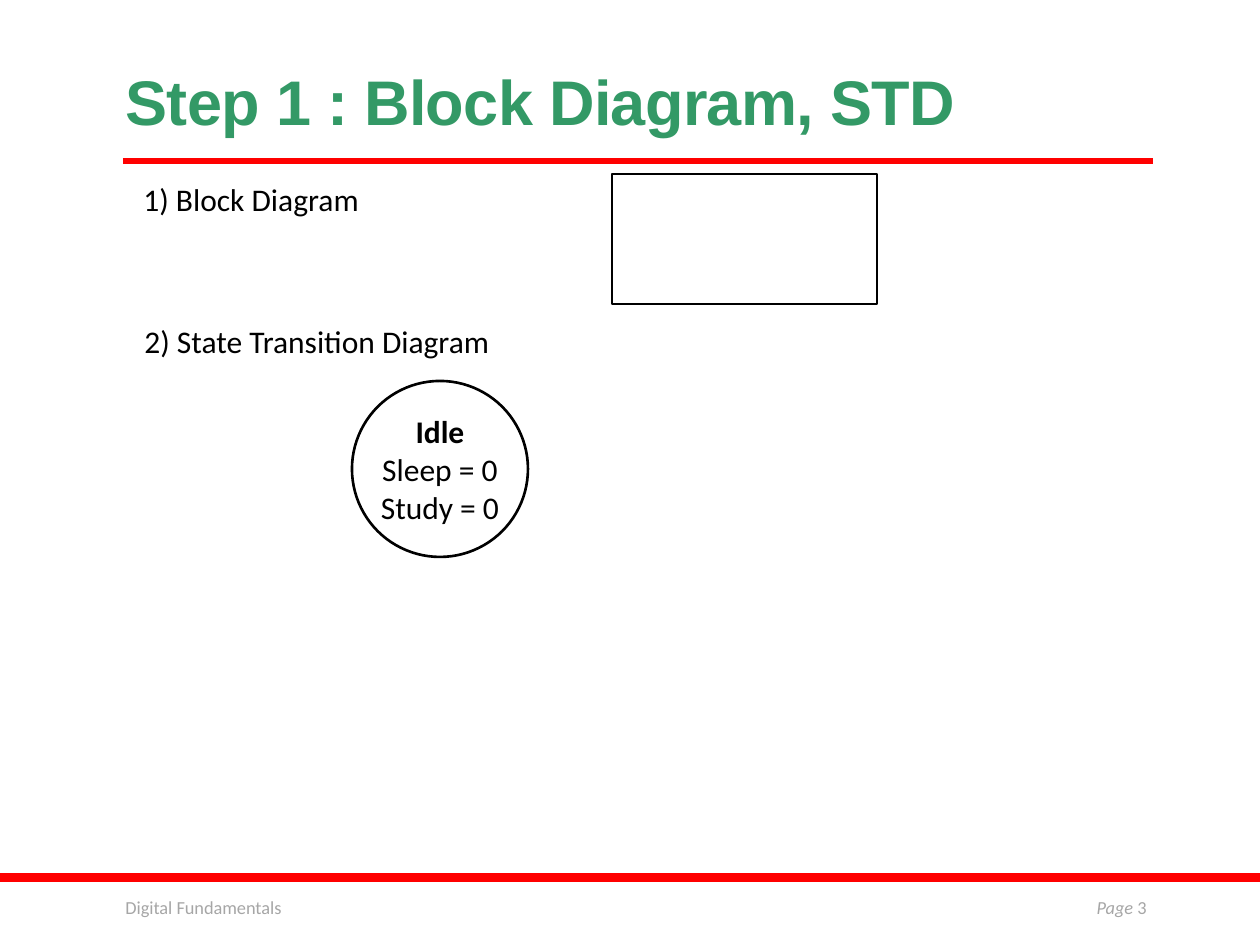
"""Build the block diagram and state transition diagram slide."""
from pptx import Presentation, util as u
from pptx.dml.color import RGBColor
from pptx.enum import shapes, text
from pptx.oxml import parse_xml
from pptx.oxml.ns import nsdecls

SCALE = 914400 / 126
GREEN = RGBColor(0x33, 0x99, 0x66)
RED = RGBColor(0xFF, 0, 0)
BLACK = RGBColor(0, 0, 0)
GRAY = RGBColor(0xA6, 0xA6, 0xA6)
LEFT, CENTER, RIGHT = text.PP_ALIGN.LEFT, text.PP_ALIGN.CENTER, text.PP_ALIGN.RIGHT

TITLE = "Step 1 : Block Diagram, STD"
TITLE_BOX = (113, 39, 1040, 106)
RULE = (123, 161, 1153, 161)
BAR = (0, 873, 1260, 9)
BLOCK = (612, 174, 265, 130)
STATE = (352, 381, 176, 176)
STATE_LINES = [[("Idle", "b")], [("Sleep = 0", "")], [("Study = 0", "")]]
LABELS = [
    ((113, 890, 499, 50), [("Digital Fundamentals", "")], 10.5, GRAY, LEFT, True),
    ((1023, 890, 136, 50), [("Page ", "i"), ("3", "")], 10.5, GRAY, RIGHT, True),
    ((131, 174, 243, 50), [("1) Block Diagram", "")], 18, BLACK, LEFT, False),
    ((132, 316, 374, 50), [("2) State Transition Diagram", "")], 18, BLACK, LEFT, False),
]


def px(*lengths):
    return [u.Emu(round(length * SCALE)) for length in lengths]


def write(frame, lines, size, color, align, font="Calibri"):
    for index, runs in enumerate(lines):
        paragraph = frame.add_paragraph() if index else frame.paragraphs[0]
        paragraph.alignment = align
        for words, style in runs:
            run = paragraph.add_run()
            run.text = words
            run.font.name, run.font.size = font, u.Pt(size)
            run.font.bold, run.font.italic = "b" in style, "i" in style
            run.font.color.rgb = color


def add_outline(slide, kind, box, width):
    shape = slide.shapes.add_shape(kind, *px(*box))
    shape.shadow.inherit = False
    shape.fill.background()
    shape.line.color.rgb, shape.line.width = BLACK, u.Pt(width)
    return shape


def add_title(slide):
    title = slide.shapes.title
    title.left, title.top, title.width, title.height = px(*TITLE_BOX)
    frame = title.text_frame
    frame.word_wrap = True
    frame.auto_size = text.MSO_AUTO_SIZE.NONE
    frame.vertical_anchor = text.MSO_ANCHOR.BOTTOM
    write(frame, [[(TITLE, "b")]], 36, GREEN, LEFT, "Arial")
    paragraph = frame.paragraphs[0]
    paragraph.line_spacing = 0.85
    paragraph.runs[0].font._element.set("spc", "-40")


def add_rules(slide):
    bar = slide.shapes.add_shape(shapes.MSO_SHAPE.RECTANGLE, *px(*BAR))
    bar.shadow.inherit = False
    bar.fill.solid()
    bar.fill.fore_color.rgb = RED
    bar.line.fill.background()
    rule = slide.shapes.add_connector(shapes.MSO_CONNECTOR.STRAIGHT, *px(*RULE))
    rule.line.color.rgb, rule.line.width = RED, u.Pt(3)
    rule._element.spPr.append(parse_xml(f"<a:effectLst {nsdecls('a')}/>"))


def add_diagrams(slide):
    add_outline(slide, shapes.MSO_SHAPE.RECTANGLE, BLOCK, 1)
    state = add_outline(slide, shapes.MSO_SHAPE.OVAL, STATE, 1.5)
    frame = state.text_frame
    frame.margin_left = frame.margin_right = 0
    frame.vertical_anchor = text.MSO_ANCHOR.MIDDLE
    write(frame, STATE_LINES, 18, BLACK, CENTER)


def add_labels(slide):
    for box, runs, size, color, align, wrap in LABELS:
        frame = slide.shapes.add_textbox(*px(*box)).text_frame
        frame.word_wrap = wrap
        if not wrap:
            frame.auto_size = text.MSO_AUTO_SIZE.SHAPE_TO_FIT_TEXT
        write(frame, [runs], size, color, align)


def main():
    presentation = Presentation()
    presentation.slide_width, presentation.slide_height = px(1260, 945)
    slide = presentation.slides.add_slide(presentation.slide_layouts[5])
    add_rules(slide)
    add_title(slide)
    add_diagrams(slide)
    add_labels(slide)
    presentation.save("out.pptx")


if __name__ == "__main__":
    main()
